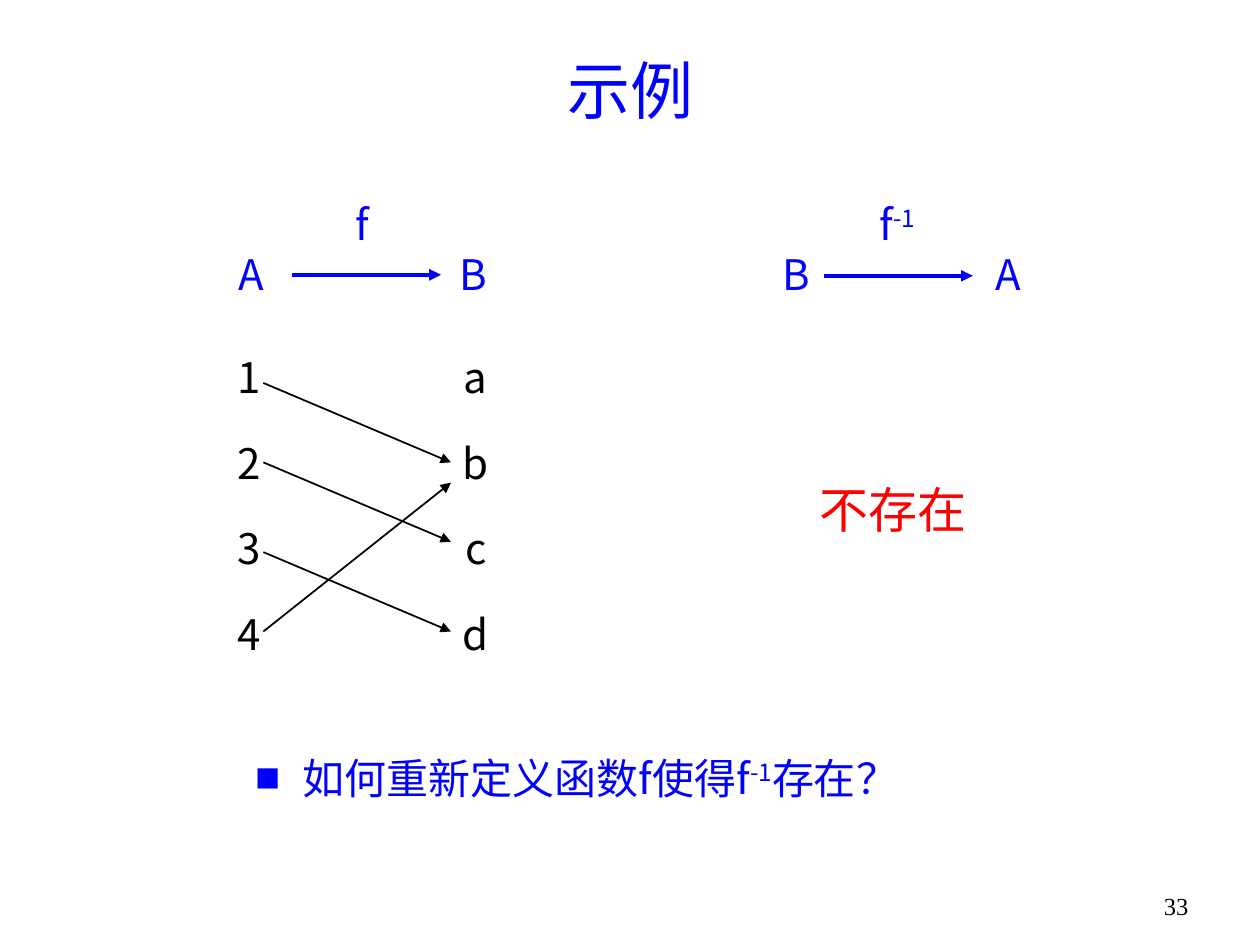
from lxml.etree import SubElement
from pptx import Presentation
from pptx.dml.color import RGBColor
from pptx.enum.shapes import MSO_CONNECTOR as Connector
from pptx.enum.text import MSO_ANCHOR as Anchor, MSO_AUTO_SIZE as AutoSize, PP_ALIGN as Align
from pptx.oxml.ns import qn
from pptx.util import Cm, Pt

BLUE = RGBColor(0x00, 0x00, 0xFF)
RED = RGBColor(0xFF, 0x00, 0x00)
BLACK = RGBColor(0x00, 0x00, 0x00)
SANS = "Noto Sans CJK SC"
SERIF = "Times New Roman"


class SlideBuilder:
    def __init__(self, slide):
        self.slide = slide
        self.font = SANS
        self.size = 24

    def add_runs(self, paragraph, pieces, color, size=None, font=None):
        for text, baseline in pieces:
            run = paragraph.add_run()
            run.text = text
            run.font.size = Pt(size or self.size)
            run.font.color.rgb = color
            run.font.name = font or self.font
            properties = run._r.get_or_add_rPr()
            SubElement(properties, qn("a:ea"), typeface=font or self.font)
            if baseline:
                properties.set("baseline", str(baseline * 1000))

    def space(self, paragraph, lines=0.9, after=0):
        paragraph.line_spacing = lines
        paragraph.space_before = Pt(self.size * 0.2)
        paragraph.space_after = Pt(after)

    def place(self, shape, left, top, width, height):
        shape.left, shape.top = Cm(left), Cm(top)
        shape.width, shape.height = Cm(width), Cm(height)
        shape.text_frame.auto_size = AutoSize.NONE

    def title(self, text, *box):
        shape = self.slide.shapes.title
        self.place(shape, *box)
        shape.text_frame.vertical_anchor = Anchor.MIDDLE
        paragraph = shape.text_frame.paragraphs[0]
        paragraph.alignment = Align.CENTER
        self.add_runs(paragraph, [(text, 0)], BLUE, 36)

    def question(self, pieces, *box):
        shape = self.slide.placeholders[1]
        self.place(shape, *box)
        paragraph = shape.text_frame.paragraphs[0]
        self.space(paragraph, 1.1, 6)
        properties = paragraph._p.get_or_add_pPr()
        properties.set("marL", str(Cm(0.95)))
        properties.set("indent", str(-Cm(0.95)))
        bullet_color = SubElement(properties, qn("a:buClr"))
        SubElement(bullet_color, qn("a:srgbClr"), val=str(BLUE))
        SubElement(properties, qn("a:buSzPct"), val="60000")
        SubElement(properties, qn("a:buFont"), typeface=self.font)
        SubElement(properties, qn("a:buChar"), char="■")
        self.add_runs(paragraph, pieces, BLUE)

    def label(self, pieces, left, top, width=2.01, height=0.99, color=BLUE, size=None):
        shape = self.slide.shapes.add_textbox(Cm(left), Cm(top), Cm(width), Cm(height))
        frame = shape.text_frame
        frame.word_wrap = False
        frame.margin_left = frame.margin_right = frame.margin_top = frame.margin_bottom = 0
        if color == RED:
            frame.vertical_anchor = Anchor.MIDDLE
        paragraph = frame.paragraphs[0]
        paragraph.alignment = Align.CENTER
        self.space(paragraph)
        self.add_runs(paragraph, pieces, color, size)

    def page_number(self, text, left, top, width, height):
        shape = self.slide.shapes.add_textbox(Cm(left), Cm(top), Cm(width), Cm(height))
        shape.text_frame.word_wrap = True
        paragraph = shape.text_frame.paragraphs[0]
        paragraph.alignment = Align.CENTER
        self.add_runs(paragraph, [(text, 0)], BLACK, 14, SERIF)

    def column(self, values, left, top, width=2.16, row_height=1.73):
        shape = self.slide.shapes.add_table(
            len(values), 1, Cm(left), Cm(top), Cm(width), Cm(row_height * len(values)))
        table = shape.table
        table.first_row = table.horz_banding = False
        for row, value in enumerate(values):
            cell = table.cell(row, 0)
            cell.fill.background()
            cell.vertical_anchor = Anchor.MIDDLE
            paragraph = cell.text_frame.paragraphs[0]
            paragraph.alignment = Align.CENTER
            self.space(paragraph)
            self.add_runs(paragraph, [(value, 0)], BLACK)

    def arrow(self, start_x, start_y, end_x, end_y, color=BLACK, width=1):
        connector = self.slide.shapes.add_connector(
            Connector.STRAIGHT, Cm(start_x), Cm(start_y), Cm(end_x), Cm(end_y))
        connector.line.color.rgb = color
        connector.line.width = Pt(width)
        properties = connector._element.spPr
        SubElement(properties.find(qn("a:ln")), qn("a:tailEnd"), type="triangle")
        SubElement(properties, qn("a:effectLst"))


def main():
    presentation = Presentation()
    presentation.slide_width, presentation.slide_height = Cm(25.4), Cm(19.05)
    builder = SlideBuilder(presentation.slides.add_slide(presentation.slide_layouts[1]))

    builder.title("示例", 1.91, 0.91, 21.59, 1.8)
    builder.question([("如何重新定义函数f使得f", 0), ("-1", 30), ("存在？", 0)],
                     4.9, 14.94, 15.19, 1.4)
    builder.page_number("33", 22.91, 17.83, 1.6, 0.94)

    builder.column("1234", 3.94, 6.73)
    builder.column("abcd", 8.51, 6.73)
    for start_y, end_y in ((7.72, 9.32), (9.32, 10.92), (12.73, 9.73), (11.13, 12.73)):
        builder.arrow(5.31, start_y, 9.09, end_y)

    for letter, left in (("A", 4.06), ("B", 8.53), ("B", 15.04), ("A", 19.33)):
        builder.label([(letter, 0)], left, 5.13)
    builder.label([("f", 0)], 6.3, 4.11)
    builder.label([("f", 0), ("-1", 30)], 17.09, 4.11)
    for left, top in ((5.89, 5.54), (16.61, 5.56)):
        builder.arrow(left, top, left + 3, top, BLUE, 2.25)
    builder.label([("不存在", 0)], 16.31, 9.53, 3.4, 1.6, RED, 28)

    presentation.save("out.pptx")


if __name__ == "__main__":
    main()
